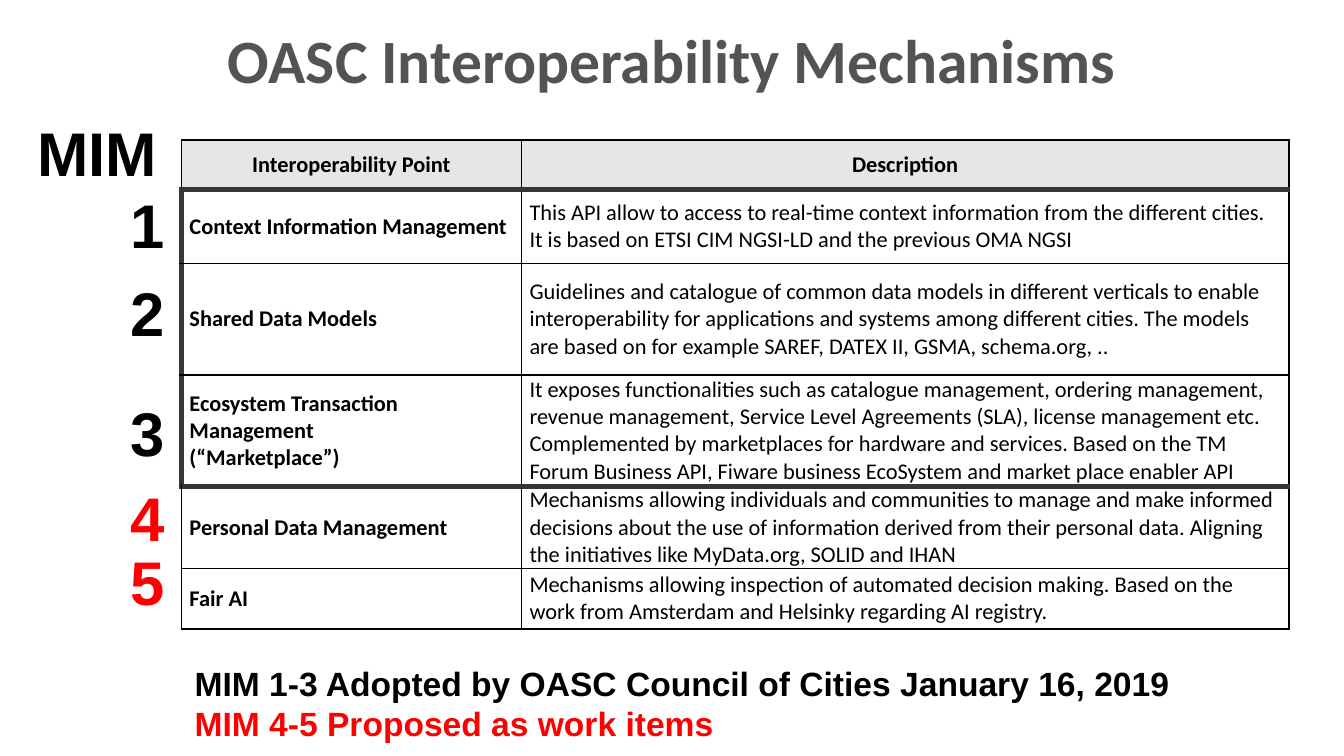
from lxml import etree
from pptx import Presentation
from pptx.dml.color import RGBColor
from pptx.enum.text import MSO_ANCHOR, PP_ALIGN
from pptx.oxml.ns import qn
from pptx.util import Inches, Pt

BLACK = RGBColor(0, 0, 0)
WHITE = RGBColor(255, 255, 255)
RED = RGBColor(255, 0, 0)
GREY = RGBColor(0x53, 0x53, 0x53)
DARK = RGBColor(0x37, 0x36, 0x36)
PALE = RGBColor(0xE7, 0xE6, 0xE6)
LEFT, CENTER = PP_ALIGN.LEFT, PP_ALIGN.CENTER
MIDDLE, BOTTOM = MSO_ANCHOR.MIDDLE, MSO_ANCHOR.BOTTOM

HEAD = ("Interoperability Point", "Description")
MIMS = [
    ("Context Information Management",
     "This API allow to access to real-time context information from the different cities. "
     "It is based on ETSI CIM NGSI-LD and the previous OMA NGSI"),
    ("Shared Data Models",
     "Guidelines and catalogue of common data models in different verticals to enable "
     "interoperability for applications and systems among different cities. The models "
     "are based on for example SAREF, DATEX II, GSMA, schema.org, .."),
    ("Ecosystem Transaction Management\n(“Marketplace”)",
     "It exposes functionalities such as catalogue management, ordering management, "
     "revenue management, Service Level Agreements (SLA), license management etc.\n"
     "Complemented by marketplaces for hardware and services. Based on the TM "
     "Forum Business API, Fiware business EcoSystem and market place enabler API"),
    ("Personal Data Management",
     "Mechanisms allowing individuals and communities to manage and make informed "
     "decisions about the use of information derived from their personal data. Aligning "
     "the initiatives like MyData.org, SOLID and IHAN"),
    ("Fair AI",
     "Mechanisms allowing inspection of automated decision making. Based on the "
     "work from Amsterdam and Helsinky regarding AI registry."),
]
COLS = (2.53, 5.71)
ROWS = (0.37, 0.55, 0.83, 0.83, 0.6, 0.45)
TOPS = (1.34, 2, 2.89, 3.52, 4)
ADOPTED = 3


def write(frame, text, font="Arial", size=33, bold=True, colors=(BLACK,), align=LEFT, space=None):
    """Fill a text frame, one paragraph per line, cycling through colors."""
    frame.word_wrap = True
    frame.text = text
    for i, para in enumerate(frame.paragraphs):
        para.alignment = align
        para.line_spacing = space
        face = para.runs[0].font
        face.name, face.size, face.bold = font, Pt(size), bold
        face.color.rgb = colors[i % len(colors)]


def edge(cell, thick):
    """Draw the four borders of a cell, heavy on the sides in thick."""
    props = cell._tc.get_or_add_tcPr()
    for i, side in enumerate("LRTB"):
        width, color = (3, DARK) if side in thick else (1, BLACK)
        line = etree.Element(qn(f"a:ln{side}"), w=str(Pt(width)))
        fill = etree.SubElement(line, qn("a:solidFill"))
        etree.SubElement(fill, qn("a:srgbClr"), val=str(color))
        props.insert(i, line)


class Deck:
    """Holds the style and the current slide."""

    font = "Calibri"

    def __init__(self):
        """Start a 16:9 deck with one title-only slide."""
        self.file = Presentation()
        self.file.slide_width = Inches(10)
        self.file.slide_height = Inches(10) * 9 // 16
        self.slide = self.file.slides.add_slide(self.file.slide_layouts[5])

    def title(self, text, x, y, w, h):
        """Place and format the title."""
        box = self.slide.shapes.title
        box.left, box.top, box.width, box.height = map(Inches, (x, y, w, h))
        frame = box.text_frame
        frame.vertical_anchor = BOTTOM
        frame.margin_left = frame.margin_right = Inches(0.1)
        frame.margin_top = frame.margin_bottom = Inches(0.1)
        write(frame, text, font=self.font, colors=(GREY,), align=CENTER, space=1.03)

    def label(self, text, x, y, w, h, **style):
        """Add a text box."""
        box = self.slide.shapes.add_textbox(*map(Inches, (x, y, w, h)))
        write(box.text_frame, text, **style)

    def table(self, data, x, y):
        """Add the table with a heavy outline around the adopted rows."""
        grid = self.slide.shapes.add_table(
            len(ROWS), len(COLS), *map(Inches, (x, y, sum(COLS), sum(ROWS)))).table
        grid.first_row = grid.horz_banding = False
        for col, w in zip(grid.columns, COLS):
            col.width = Inches(w)
        for r, texts in enumerate(data):
            grid.rows[r].height = Inches(ROWS[r])
            for c, text in enumerate(texts):
                self.cell(grid.cell(r, c), text, r, c)

    def cell(self, cell, text, r, c):
        """Format one table cell."""
        head = r == 0
        cell.margin_left = cell.margin_right = Inches(0.06)
        cell.margin_top = cell.margin_bottom = 0
        cell.vertical_anchor = MIDDLE
        cell.fill.solid()
        cell.fill.fore_color.rgb = PALE if head else WHITE
        write(cell.text_frame, text, font=self.font, size=12,
              bold=head or c == 0, align=CENTER if head else LEFT)
        thick = "B" if r in (0, ADOPTED) else ""
        thick += "T" if r in (1, ADOPTED + 1) else ""
        thick += "L" if c == 0 and 1 <= r <= ADOPTED else ""
        edge(cell, thick)


def main():
    """Build and save the slide."""
    deck = Deck()
    deck.title("OASC Interoperability Mechanisms", 1.25, 0, 7.5, 0.81)
    deck.table([HEAD, *MIMS], 1.35, 1.04)
    deck.label("MIM", 0.18, 0.81, 1.16, 0.66)
    for num, top in enumerate(TOPS, 1):
        deck.label(str(num), 0.87, top, 0.33, 0.66, colors=(BLACK if num <= ADOPTED else RED,))
    deck.label("MIM 1-3 Adopted by OASC Council of Cities January 16, 2019\n"
               "MIM 4-5 Proposed as work items",
               1.35, 4.88, 7.96, 0.71, size=18, colors=(BLACK, RED))
    deck.file.save("out.pptx")


if __name__ == "__main__":
    main()
